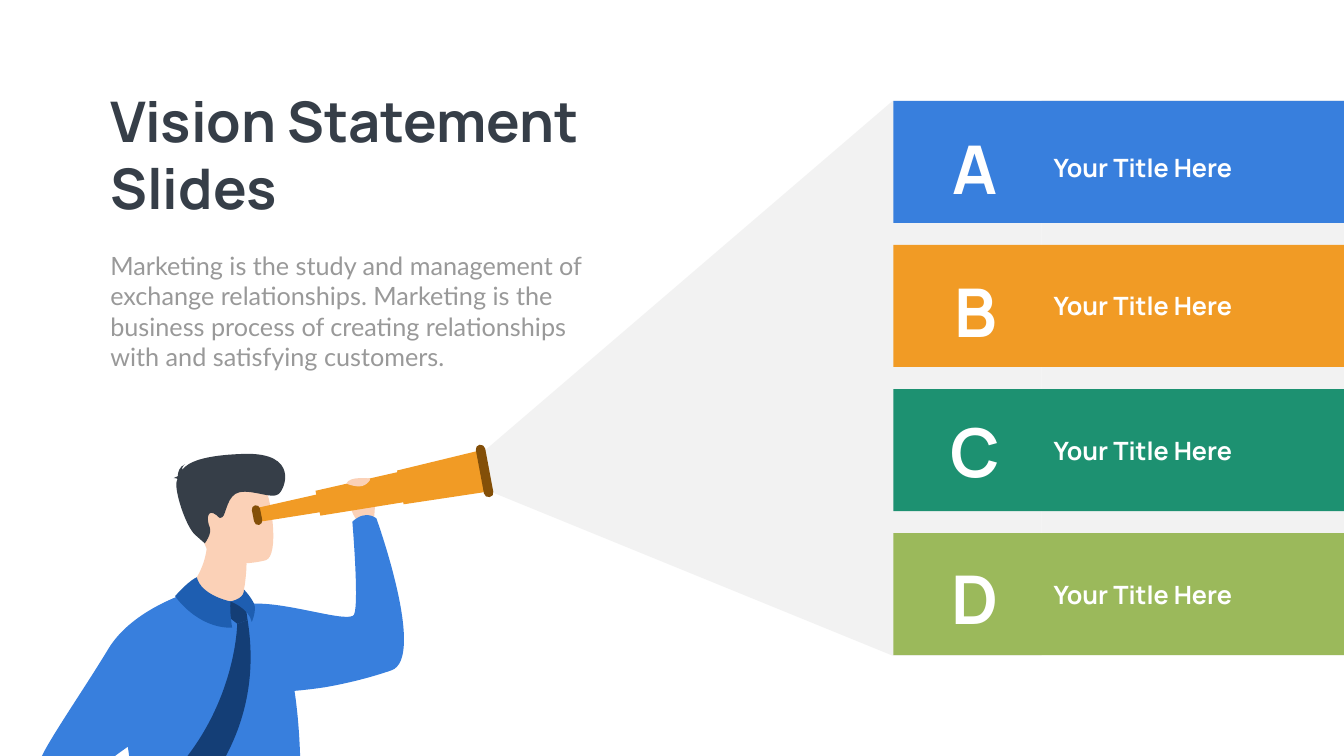
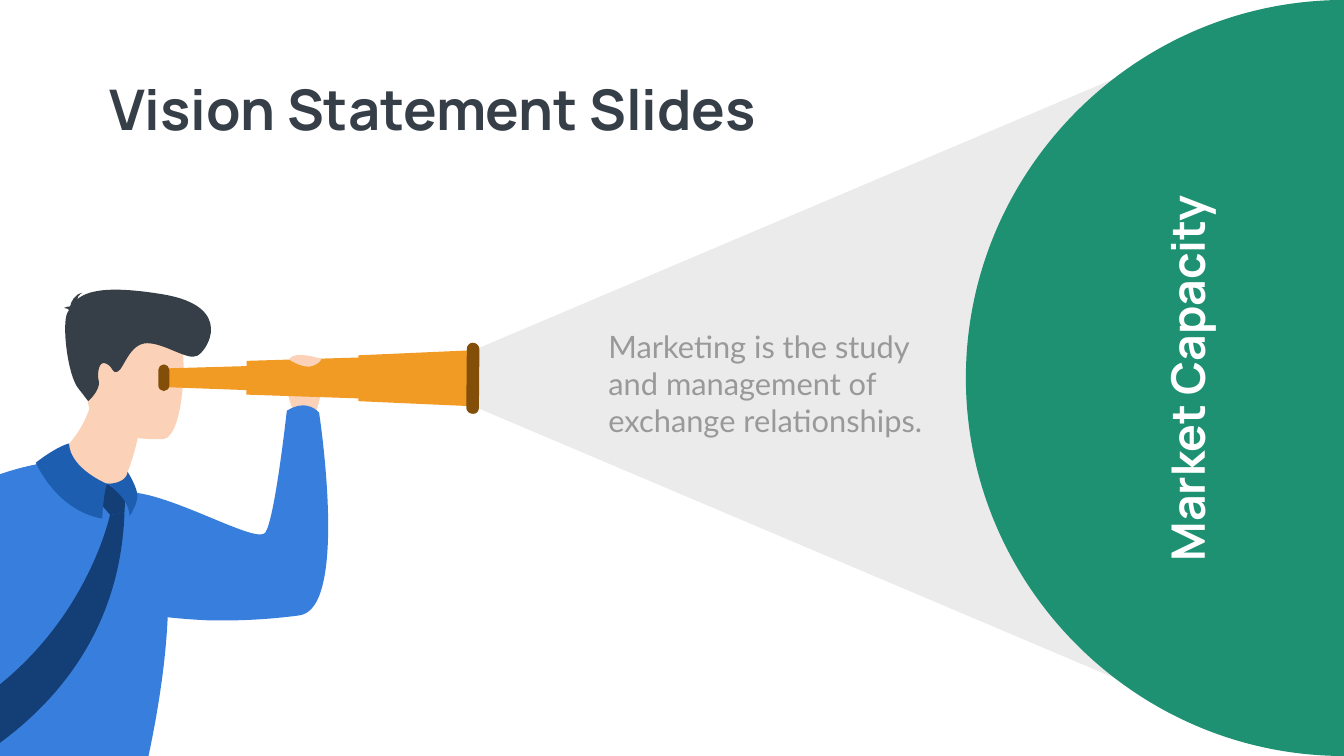
from dataclasses import dataclass
from math import cos, radians, sin

from pptx import Presentation
from pptx.dml.color import RGBColor
from pptx.enum.shapes import MSO_SHAPE
from pptx.enum.text import MSO_AUTO_SIZE, PP_ALIGN
from pptx.oxml.ns import qn
from pptx.util import Pt

RECT = MSO_SHAPE.RECTANGLE
TRAPEZOID = MSO_SHAPE.TRAPEZOID
GROW = MSO_AUTO_SIZE.SHAPE_TO_FIT_TEXT
LEFT, CENTER = PP_ALIGN.LEFT, PP_ALIGN.CENTER


@dataclass(frozen=True)
class Theme:
    blue: str = "387FDD"
    orange: str = "F19B25"
    green: str = "1D9171"
    lime: str = "9BB95B"
    navy: str = "143E76"
    collar: str = "1E5EB1"
    brown: str = "834F08"
    skin: str = "FBD1B7"
    dark: str = "363E48"
    grey: str = "999999"
    white: str = "FFFFFF"
    pale: str = "F2F2F2"
    beam: str = "EBEBEB"
    heading: str = "Manrope"
    body: str = "Lato"
    title_size: int = 80
    letter_size: int = 96
    label_size: int = 36
    body_size: int = 36
    callout_size: int = 44
    circle_size: int = 66


T = Theme()
WIDTH, HEIGHT = 1919.52, 1080
TITLE = "Vision Statement Slides"

UNIT = 0.72
EYE = (325, 750)
DRAWN_TILT = 2.7

HAND = [(584, 820), (584, 820, 552, 755, 588, 744), (624, 733, 639, 746, 640, 760),
        (641, 774, 623, 830, 623, 830)]
NEAR_ARM = [(594, 1221), (535, 1229, 476, 1232, 416, 1231), (371, 1229, 326, 1225, 281, 1218),
            (270, 1216, 260, 1214, 250, 1212), (147, 1192, 91, 1161, 91, 1161),
            (91, 1161, 196, 967, 272, 978), (361, 991, 510, 1079, 526, 1057),
            (545, 1033, 569, 815, 569, 815), (611, 789, 633, 819, 633, 819),
            (633, 819, 693, 1208, 594, 1221)]
TORSO = [(243, 1700), (243, 1700, 140, 1762, -1, 1749), (-63, 1743, -185, 1720, -203, 1670),
         (-207, 1658, -203, 1643, -194, 1621), (-174, 1563, -126, 1454, -127, 1206),
         (-127, 1184, -125, 1162, -122, 1141), (-103, 1020, -30, 951, 39, 930),
         (206, 881, 258, 963, 258, 963), (258, 963, 328, 1024, 333, 1145),
         (343, 1387, 243, 1700, 243, 1700)]
NECK = [(88, 919), (88, 919, 161, 968, 244, 959), (244, 959, 260, 956, 253, 936),
        (257, 928, 259, 920, 262, 911), (270, 886, 273, 870, 273, 870),
        (229, 819), (187, 771), (170, 882, 88, 919, 88, 919)]
FACE = [(325, 871), (325, 871, 180, 882, 174, 793), (168, 704, 146, 645, 238, 634),
        (331, 623, 351, 656, 360, 685), (370, 715, 363, 865, 325, 871)]
HAIR = [(137, 615), (136, 613, 133, 612, 127, 611), (131, 609, 135, 608, 139, 608),
        (141, 599, 148, 583, 164, 581), (164, 581, 155, 584, 153, 594),
        (173, 577, 214, 566, 323, 584), (467, 608, 411, 697, 391, 706),
        (372, 716, 327, 681, 292, 681), (257, 681, 246, 731, 234, 737),
        (221, 742, 227, 731, 212, 722), (196, 713, 192, 740, 196, 757),
        (199, 775, 175, 796, 175, 796), (155, 770), (134, 744, 122, 641, 134, 620),
        (135, 619, 136, 617, 137, 615)]
SMALL_TUBE = [(571, 777), (326, 768), (326, 731), (572, 724)]
MIDDLE_TUBE = [(756, 792), (489, 783), (489, 716), (756, 708)]
LARGE_TUBE = [(936, 806), (711, 796), (711, 705), (936, 695)]
LENS_RIM = [(938, 821), (945, 822, 950, 816, 950, 809), (951, 693),
            (951, 686, 945, 680, 938, 680), (931, 680, 926, 686, 926, 692),
            (925, 809), (925, 816, 931, 821, 938, 821)]
EYEPIECE = [(325, 776), (319, 776, 314, 771, 314, 764), (314, 734),
            (314, 728, 319, 723, 325, 723), (331, 723, 336, 728, 336, 734),
            (336, 764), (336, 771, 331, 776, 325, 776)]
FAR_ARM = [(88, 919), (88, 919, -52, 936, -129, 1021), (-206, 1106, -328, 1225, -358, 1268),
           (-388, 1310, -478, 1604, -478, 1604), (-478, 1604, -474, 1613, -453, 1620),
           (-433, 1626, -418, 1619, -418, 1619), (-418, 1619, -308, 1450, -266, 1365),
           (-248, 1330, 33, 1200, 135, 1220), (175, 1228, 88, 919, 88, 919)]
FINGERS = [(573, 713), (573, 713, 602, 733, 620, 726), (638, 719, 637, 712, 637, 712),
           (637, 712, 584, 694, 573, 713)]
TIE = [(218, 1022), (218, 1022, 139, 1404, -299, 1496), (-351, 1586), (-269, 1604),
       (-269, 1604, 231, 1485, 247, 1017)]
TIE_KNOT = [(212, 960), (192, 961), (191, 990), (219, 1022), (247, 1017),
            (249, 977), (229, 961)]
LEFT_COLLAR = [(137, 880), (137, 880, 117, 883, 71, 918), (71, 918, 111, 1013, 203, 1029),
               (203, 1029, 204, 986, 212, 960), (212, 960, 139, 930, 137, 880)]
RIGHT_COLLAR = [(212, 960), (212, 960, 256, 986, 257, 1024), (257, 1024, 276, 997, 272, 978),
                (268, 959, 253, 936, 253, 936), (253, 936, 254, 959, 212, 960)]

VIEWER = [(HAND, T.skin), (NEAR_ARM, T.blue), (TORSO, T.blue), (NECK, T.skin),
          (FACE, T.skin), (HAIR, T.dark), (SMALL_TUBE, T.orange), (MIDDLE_TUBE, T.orange),
          (LARGE_TUBE, T.orange), (LENS_RIM, T.brown), (EYEPIECE, T.brown),
          (FAR_ARM, T.blue), (FINGERS, T.skin), (TIE, T.navy), (TIE_KNOT, T.navy),
          (LEFT_COLLAR, T.collar), (RIGHT_COLLAR, T.collar)]

BANDS = [("A", T.blue, 33.84, 70.56), ("B", T.orange, 33.12, 61.92),
         ("C", T.green, 27.36, 61.92), ("D", T.lime, 30.24, 61.92)]


def paint(sp, color):
    sp.shadow.inherit = False
    sp.fill.solid()
    sp.fill.fore_color.rgb = RGBColor.from_string(color)
    sp.line.fill.background()
    return sp


def add_block(s, kind, box, color):
    return paint(s.shapes.add_shape(kind, *map(Pt, box)), color)


def add_text(s, text, box, size, font, color, bold=True, align=LEFT):
    sp = s.shapes.add_textbox(*map(Pt, box))
    tf = sp.text_frame
    tf.word_wrap = True
    tf.auto_size = GROW
    tf.text = text
    p = tf.paragraphs[0]
    p.alignment = align
    r = p.runs[0]
    r.font.size = Pt(size)
    r.font.name = font
    r.font.bold = bold
    r.font.color.rgb = RGBColor.from_string(color)
    return sp


def add_title(s, box):
    add_text(s, TITLE, box, T.title_size, T.heading, T.dark)


def add_body(s, text, box, size):
    add_text(s, text, box, size, T.body, T.grey, bold=False)


def turn(point, angle):
    x, y = point
    c, d = cos(radians(angle)), sin(radians(angle))
    return x * c - y * d, x * d + y * c


def upright(segment):
    points = zip(segment[::2], segment[1::2])
    turned = [turn(((x - EYE[0]) * UNIT, (y - EYE[1]) * UNIT), -DRAWN_TILT)
              for x, y in points]
    return [value for point in turned for value in point]


def add_outline(s, segments, color):
    points = [(Pt(x), Pt(y)) for segment in segments
              for x, y in zip(segment[::2], segment[1::2])]
    builder = s.shapes.build_freeform(*points[0], scale=1.0)
    builder.add_line_segments(points[1:], close=True)
    sp = builder.convert_to_shape()
    lines = iter(list(sp.element.iter(qn("a:lnTo"))))
    for segment in segments[1:]:
        first = next(lines)
        if len(segment) == 6:
            curve = first.makeelement(qn("a:cubicBezTo"))
            first.addprevious(curve)
            for line in (first, next(lines), next(lines)):
                curve.append(line[0])
                line.getparent().remove(line)
    return paint(sp, color)


def add_viewer(s, eye, scale, tilt):
    parts = [add_outline(s, [upright(segment) for segment in segments], color)
             for segments, color in VIEWER]
    group = s.shapes.add_group_shape(parts)
    center = turn((group.left + group.width / 2, group.top + group.height / 2), tilt)
    group.width = round(group.width * scale)
    group.height = round(group.height * scale)
    group.left = round(Pt(eye[0]) + center[0] * scale - group.width / 2)
    group.top = round(Pt(eye[1]) + center[1] * scale - group.height / 2)
    group.rotation = tilt % 360


def add_bands(s, left, top, width, height, band_height):
    pitch = (height - band_height) / (len(BANDS) - 1)
    tops = [top + i * pitch for i in range(len(BANDS))]
    for y, (_, color, _, _) in zip(tops, BANDS):
        add_block(s, RECT, (left, y, width, band_height), color)
    for y, (letter, _, letter_drop, label_drop) in zip(tops, BANDS):
        add_text(s, "Your Title Here", (left + 221.76, y + label_drop, 300.24, 51.12),
                 T.label_size, T.heading, T.white)
        add_text(s, letter, (left + 62.64, y + letter_drop, 109.44, 123.84),
                 T.letter_size, T.heading, T.white, align=CENTER)


def add_half_circle(s, right, top, radius):
    k = radius * 0.55
    left, middle, bottom = right - radius, top + radius, top + 2 * radius
    add_outline(s, [
        (right, top),
        (right - k, top, left, middle - k, left, middle),
        (left, middle + k, right - k, bottom, right, bottom)], T.green)


def bands_slide(prs):
    s = prs.slides.add_slide(prs.slide_layouts[6])
    add_block(s, RECT, (1487.52, 143.28, 432, 792.72), T.pale)
    add_title(s, (150.48, 119.52, 720, 200.88))
    add_outline(s, [(648.72, 681.12), (1275.12, 936.72), (1487.52, 936.72),
                    (1487.52, 144), (1275.12, 144)], T.pale)
    add_viewer(s, (367.2, 736.2), 0.75, -8.4)
    add_bands(s, 1275.84, 144, 643.68, 792, 174.24)
    add_body(s, "Marketing is the study and management of exchange relationships. "
                "Marketing is the business process of creating relationships "
                "with and satisfying customers.",
             (150.48, 354.24, 689.76, 181.44), T.body_size)


def circle_slide(prs):
    s = prs.slides.add_slide(prs.slide_layouts[6])
    beam = add_block(s, TRAPEZOID, (707.04, 44.64, 913.68, 991.44), T.beam)
    beam.adjustments[0] = 0.46
    beam.rotation = 270
    add_half_circle(s, WIDTH, 0, HEIGHT / 2)
    add_viewer(s, (EYE[0] * UNIT, EYE[1] * UNIT), 1, DRAWN_TILT)
    sp = add_text(s, "Market Capacity", (1360.08, 496.8, 669.6, 87.12),
                  T.circle_size, T.heading, T.white, align=CENTER)
    sp.rotation = 270
    add_title(s, (149.76, 102.96, 1021.68, 104.4))
    add_body(s, "Marketing is the study and management of exchange relationships.",
             (861.84, 464.4, 469.44, 167.04), T.callout_size)


def main():
    prs = Presentation()
    prs.slide_width, prs.slide_height = Pt(WIDTH), Pt(HEIGHT)
    bands_slide(prs)
    circle_slide(prs)
    prs.save("out.pptx")


if __name__ == "__main__":
    main()
